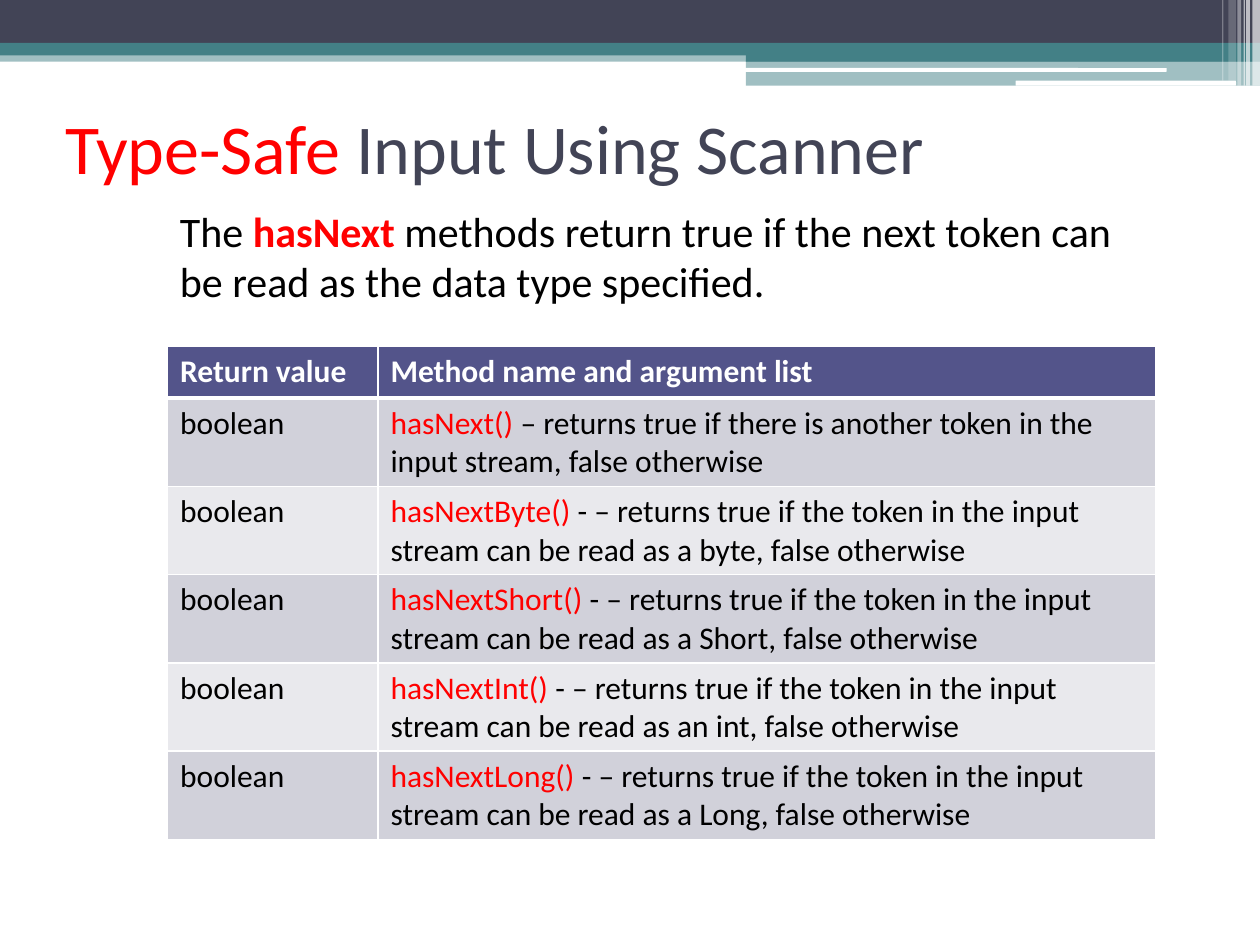
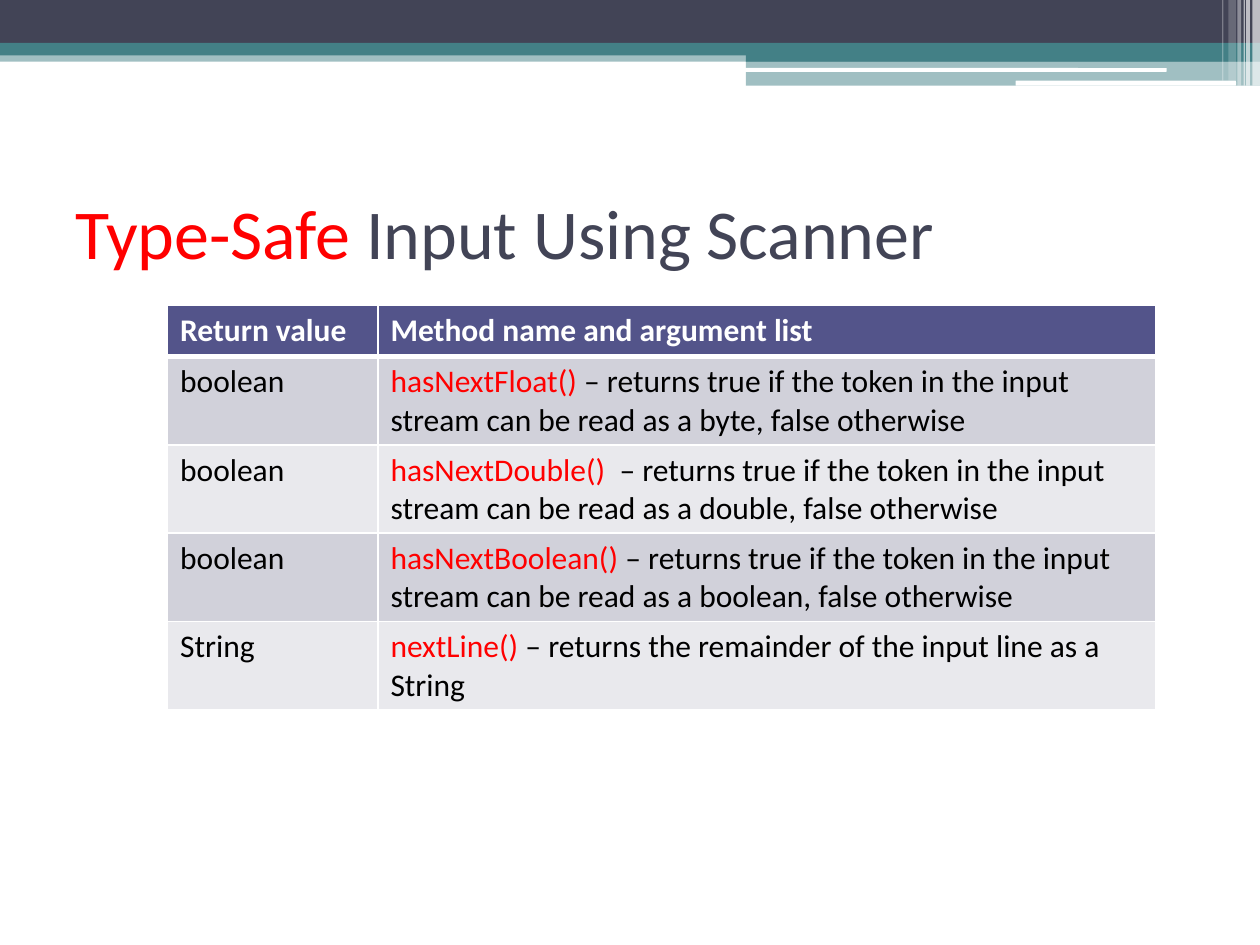
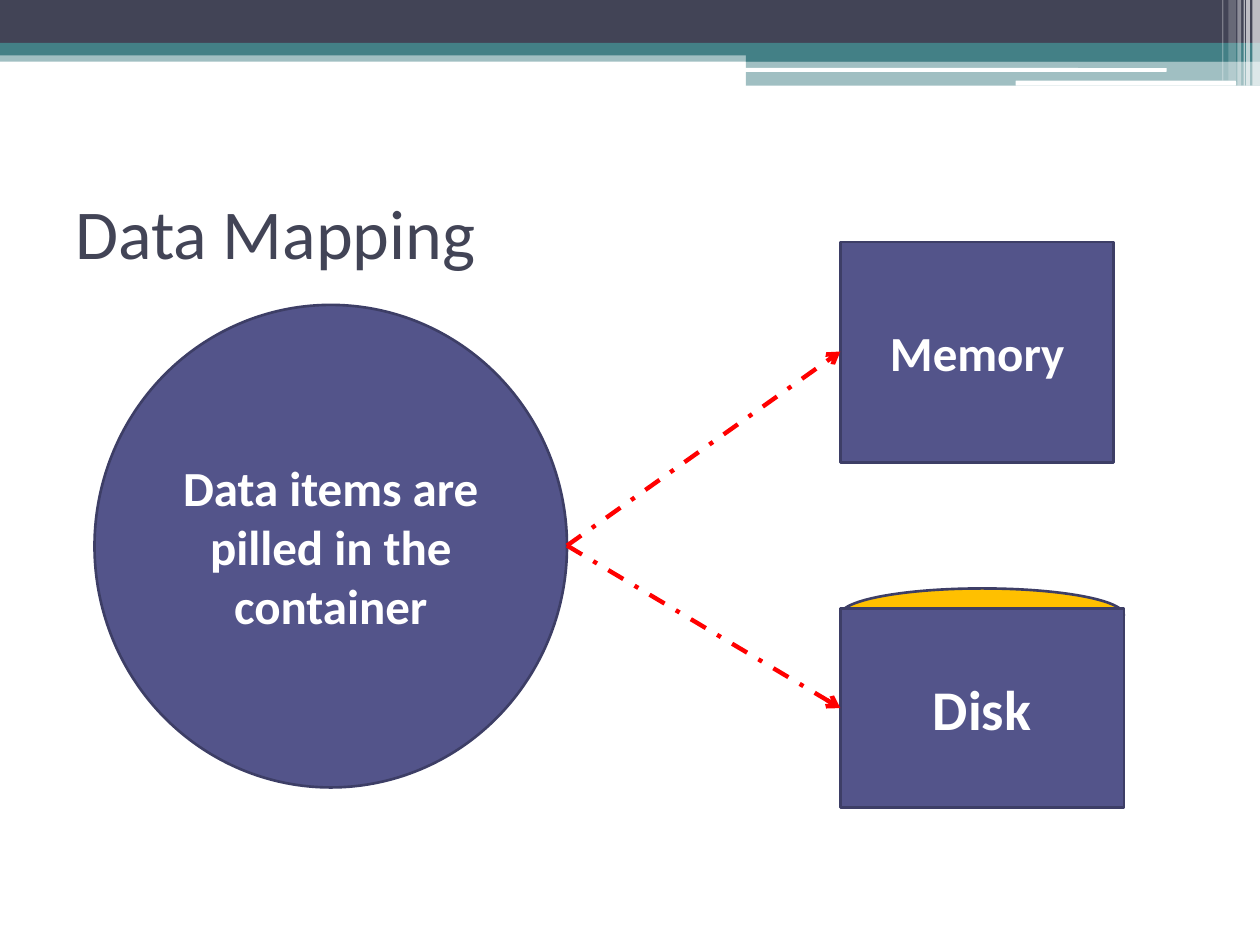
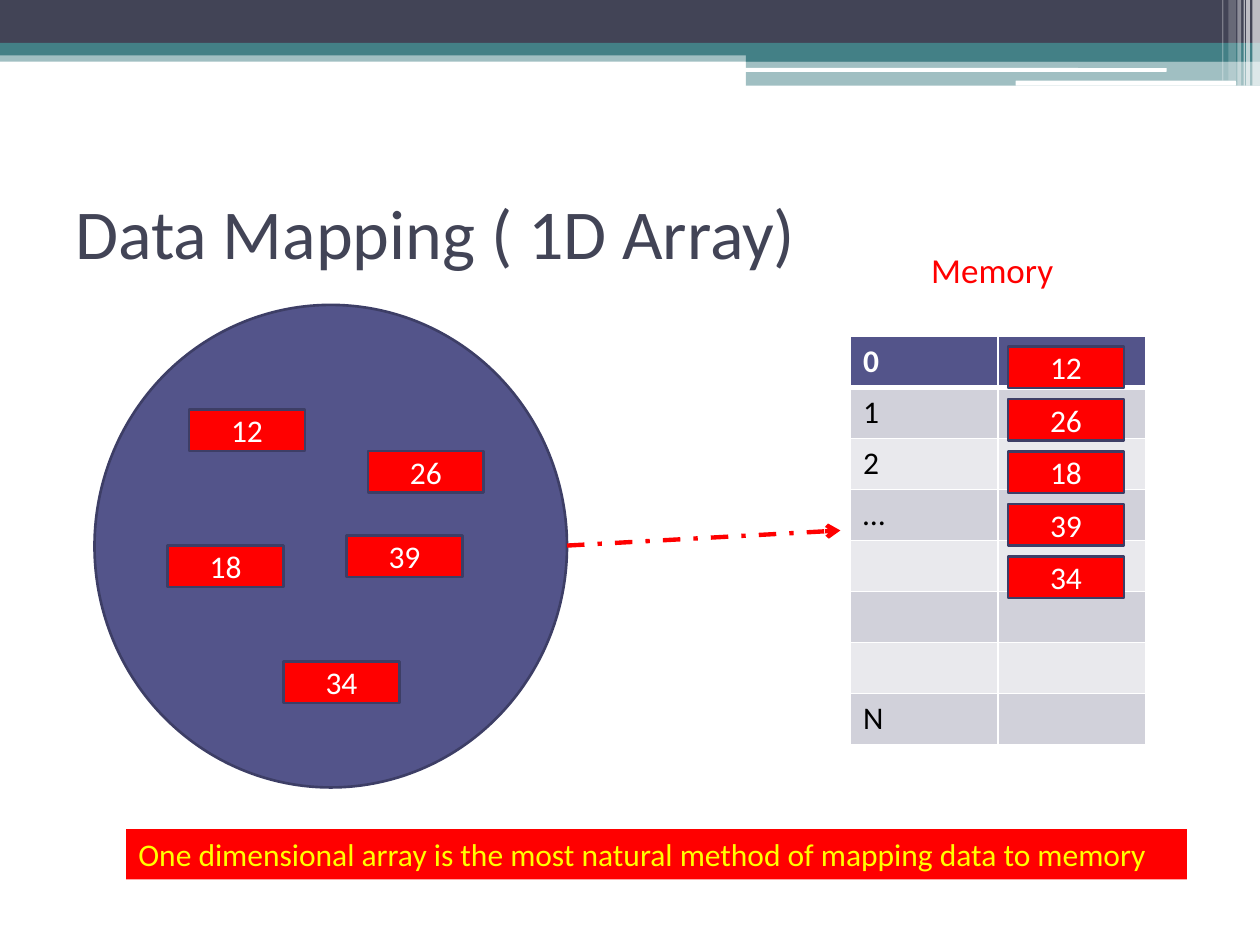
from lxml import etree
from pptx import Presentation
from pptx.dml.color import RGBColor
from pptx.enum.dml import MSO_LINE
from pptx.enum.shapes import MSO_CONNECTOR, MSO_SHAPE
from pptx.enum.text import MSO_ANCHOR, PP_ALIGN
from pptx.oxml.ns import qn
from pptx.util import Inches, Pt

RECT, ROUNDED, ELLIPSE = MSO_SHAPE.RECTANGLE, MSO_SHAPE.ROUNDED_RECTANGLE, MSO_SHAPE.OVAL
STRAIGHT, DASH_DOT = MSO_CONNECTOR.STRAIGHT, MSO_LINE.DASH_DOT
TOP, MIDDLE = MSO_ANCHOR.TOP, MSO_ANCHOR.MIDDLE
LEFT, CENTER = PP_ALIGN.LEFT, PP_ALIGN.CENTER

FONT = "Calibri"
COLORS = {
    "slate": "424456", "teal": "438086", "indigo": "53548A", "outline": "3D3E66",
    "band_dark": "D1D1DA", "band_light": "E9E9ED", "white": "FFFFFF", "black": "000000",
    "red": "FF0000", "amber": "FFC000", "yellow": "FFFF00",
}
BANDS = [
    (RECT, (0, 0.4, 10, 0.09), "teal", 50),
    (RECT, (0, 0, 10, 0.34), "slate", 100),
    (RECT, (0, 0.34, 10, 0.1), "teal", 100),
    (RECT, (5.92, 0.39, 4.08, 0.1), "teal", 100),
    (RECT, (5.92, 0.48, 4.08, 0.2), "teal", 50),
    (ROUNDED, (5.91, 0.54, 3.35, 0.03), "white", 100),
    (ROUNDED, (8.06, 0.64, 1.75, 0.04), "white", 100),
    (RECT, (9.94, 0, 0.06, 0.68), "white", 65),
    (RECT, (9.89, 0, 0.03, 0.68), "white", 65),
    (RECT, (9.87, 0, 0.01, 0.68), "white", 60),
    (RECT, (9.82, 0, 0.03, 0.68), "white", 40),
    (RECT, (9.75, 0, 0.06, 0.64), "white", 20),
    (RECT, (9.7, 0, 0.01, 0.64), "white", 30),
]
TITLE_BOX = (0.5, 1.25, 9, 1.17)
CONTAINER_BOX = (0.75, 2.42, 3.75, 3.83)
CONTAINER_EXIT = (4.5, 4.33)
SCANNER_TITLE = [("Type-Safe", "red", False), (" Input Using Scanner", "slate", False)]
METHOD_HEADER = ("Return value", "Method name and argument list")
READABLE = "returns true if the token in the input stream can be read as {}, false otherwise"
INTEGER_METHODS = [
    ("boolean", "hasNext() ",
     "– returns true if there is another token in the input stream, false otherwise"),
] + [
    ("boolean", f"hasNext{kind}() ", "- – " + READABLE.format(noun))
    for kind, noun in [("Byte", "a byte"), ("Short", "a Short"), ("Int", "an int"), ("Long", "a Long")]
]
OTHER_METHODS = [
    ("boolean", "hasNextFloat() ", "– " + READABLE.format("a byte")),
    ("boolean", "hasNextDouble() ", " – " + READABLE.format("a double")),
    ("boolean", "hasNextBoolean() ", "– " + READABLE.format("a boolean")),
    ("String", "nextLine()", " – returns the remainder of the input line as a String"),
]
ARRAY_INDEXES = ["0", "1", "2", "…", "", "", "", "N"]
SCATTERED = {"12": (1.5, 3.25), "26": (2.92, 3.58), "18": (1.33, 4.33),
             "39": (2.75, 4.25), "34": (2.25, 5.25)}


def rgb(color):
    return RGBColor.from_string(COLORS[color])


def inches(values):
    return [Inches(value) for value in values]


def write(frame, runs, size, align=LEFT, anchor=TOP):
    frame.word_wrap = True
    frame.vertical_anchor = anchor
    paragraph = frame.paragraphs[0]
    paragraph.alignment = align
    for text, color, bold in runs:
        run = paragraph.add_run()
        run.text = text
        run.font.name = FONT
        run.font.size = Pt(size)
        run.font.bold = bold
        run.font.color.rgb = rgb(color)


def add_text(slide, box, runs, size, align=LEFT, anchor=TOP):
    write(slide.shapes.add_textbox(*inches(box)).text_frame, runs, size, align, anchor)


def add_title(slide, runs, box=TITLE_BOX):
    add_text(slide, box, runs, 40, anchor=MIDDLE)


def add_block(slide, kind, box, fill, outline=None):
    block = slide.shapes.add_shape(kind, *inches(box))
    block.shadow.inherit = False
    block.fill.solid()
    block.fill.fore_color.rgb = rgb(fill)
    if outline:
        block.line.color.rgb = rgb(outline)
        block.line.width = Pt(1.5)
    else:
        block.line.fill.background()
    return block


def add_label_block(slide, kind, box, fill, text, size, bold=True):
    block = add_block(slide, kind, box, fill, "outline")
    write(block.text_frame, [(text, "white", bold)], size, CENTER, MIDDLE)


def add_bands(slide, layout):
    for number, (kind, box, color, opacity) in enumerate(BANDS):
        band = add_block(slide, kind, box, color)
        if opacity < 100:
            tint = band.element.spPr.find(qn("a:solidFill"))[0]
            etree.SubElement(tint, qn("a:alpha"), val=str(opacity * 1000))
        band.element.nvSpPr.cNvPr.id = 100 + number
        layout.shapes.element.append(band.element)


def add_arrow(slide, start, end):
    arrow = slide.shapes.add_connector(STRAIGHT, *inches(start + end))
    arrow.line.color.rgb = rgb("red")
    arrow.line.width = Pt(2.5)
    arrow.line.dash_style = DASH_DOT
    properties = arrow.element.spPr
    etree.SubElement(properties.find(qn("a:ln")), qn("a:tailEnd"), type="arrow")
    etree.SubElement(properties, qn("a:effectLst"))


def set_borders(cell, row):
    widths = {"lnL": 1, "lnR": 1, "lnT": 3 if row == 1 else 1, "lnB": 3 if row == 0 else 1}
    properties = cell._tc.get_or_add_tcPr()
    for position, (side, width) in enumerate(widths.items()):
        border = etree.Element(qn("a:" + side), w=str(Pt(width)))
        fill = etree.SubElement(border, qn("a:solidFill"))
        etree.SubElement(fill, qn("a:srgbClr"), val=COLORS["white"])
        properties.insert(position, border)


def add_grid(slide, corner, widths, heights, rows):
    size = (sum(widths), sum(heights))
    grid = slide.shapes.add_table(len(rows), len(widths), *inches(corner + size)).table
    for column, width in zip(grid.columns, widths):
        column.width = Inches(width)
    for number, (cells, height) in enumerate(zip(rows, heights)):
        grid.rows[number].height = Inches(height)
        fill = "indigo" if number == 0 else ("band_light", "band_dark")[number % 2]
        for column, runs in enumerate(cells):
            cell = grid.cell(number, column)
            cell.fill.solid()
            cell.fill.fore_color.rgb = rgb(fill)
            set_borders(cell, number)
            write(cell.text_frame, runs, 18)


def add_method_table(slide, top, methods):
    rows = [[[(heading, "white", True)] for heading in METHOD_HEADER]]
    for returned, signature, meaning in methods:
        rows.append([[(returned, "black", False)],
                     [(signature, "red", False), (meaning, "black", False)]])
    add_grid(slide, (1.33, top), (1.67, 6.17), [0.41] + [0.7] * len(methods), rows)


def add_number(slide, text, left, top):
    add_label_block(slide, RECT, (left, top, 0.92, 0.33), "red", text, 18, bold=False)


def build_integer_methods(slide):
    add_title(slide, SCANNER_TITLE, (0.42, 0.58, 9, 1.17))
    add_method_table(slide, 2.75, INTEGER_METHODS)
    add_text(slide, (1.33, 1.58, 7.75, 0.91), [
        ("The ", "black", False),
        ("hasNext", "red", True),
        (" methods return true if the next token can be read as the data type specified.",
         "black", False),
    ], 24)


def build_other_methods(slide):
    add_title(slide, SCANNER_TITLE)
    add_method_table(slide, 2.42, OTHER_METHODS)


def build_data_mapping(slide):
    add_title(slide, [("Data Mapping", "slate", False)])
    add_label_block(slide, ELLIPSE, CONTAINER_BOX, "indigo",
                    "Data items are pilled in the container", 28)
    add_label_block(slide, RECT, (6.67, 1.92, 2.17, 1.75), "indigo", "Memory", 28)
    add_arrow(slide, CONTAINER_EXIT, (6.67, 2.79))
    add_block(slide, ELLIPSE, (6.67, 4.67, 2.25, 0.42), "amber", "outline")
    add_label_block(slide, RECT, (6.67, 4.83, 2.25, 1.58), "indigo", "Disk", 32)
    add_arrow(slide, CONTAINER_EXIT, (6.67, 5.62))


def build_array_mapping(slide):
    add_title(slide, [("Data Mapping ( 1D Array)", "slate", False)])
    add_block(slide, ELLIPSE, CONTAINER_BOX, "indigo", "outline")
    add_arrow(slide, CONTAINER_EXIT, (6.67, 4.21))
    rows = []
    for number, index in enumerate(ARRAY_INDEXES):
        color = "black" if number else "white"
        rows.append([[(index, color, number == 0)] if index else [], []])
    add_grid(slide, (6.75, 2.67), (1.17, 1.17), [0.405] * len(rows), rows)
    add_text(slide, (6.75, 1.92, 2.25, 0.44), [("Memory", "red", False)], 20, CENTER)
    for slot, (number, (left, top)) in enumerate(SCATTERED.items()):
        add_number(slide, number, left, top)
        add_number(slide, number, 8, 2.75 + slot * 1.25 / 3)
    banner = add_block(slide, RECT, (1, 6.58, 8.42, 0.4), "red")
    write(banner.text_frame, [
        ("One dimensional array is the most natural method of mapping data to memory ",
         "yellow", False),
    ], 18)


def main():
    deck = Presentation()
    deck.slide_width, deck.slide_height = Inches(10), Inches(7.5)
    blank = deck.slide_layouts[6]
    builders = [build_integer_methods, build_other_methods, build_data_mapping, build_array_mapping]
    for number, build in enumerate(builders):
        slide = deck.slides.add_slide(blank)
        if number == 0:
            add_bands(slide, blank)
        build(slide)
    deck.save("out.pptx")


main()
